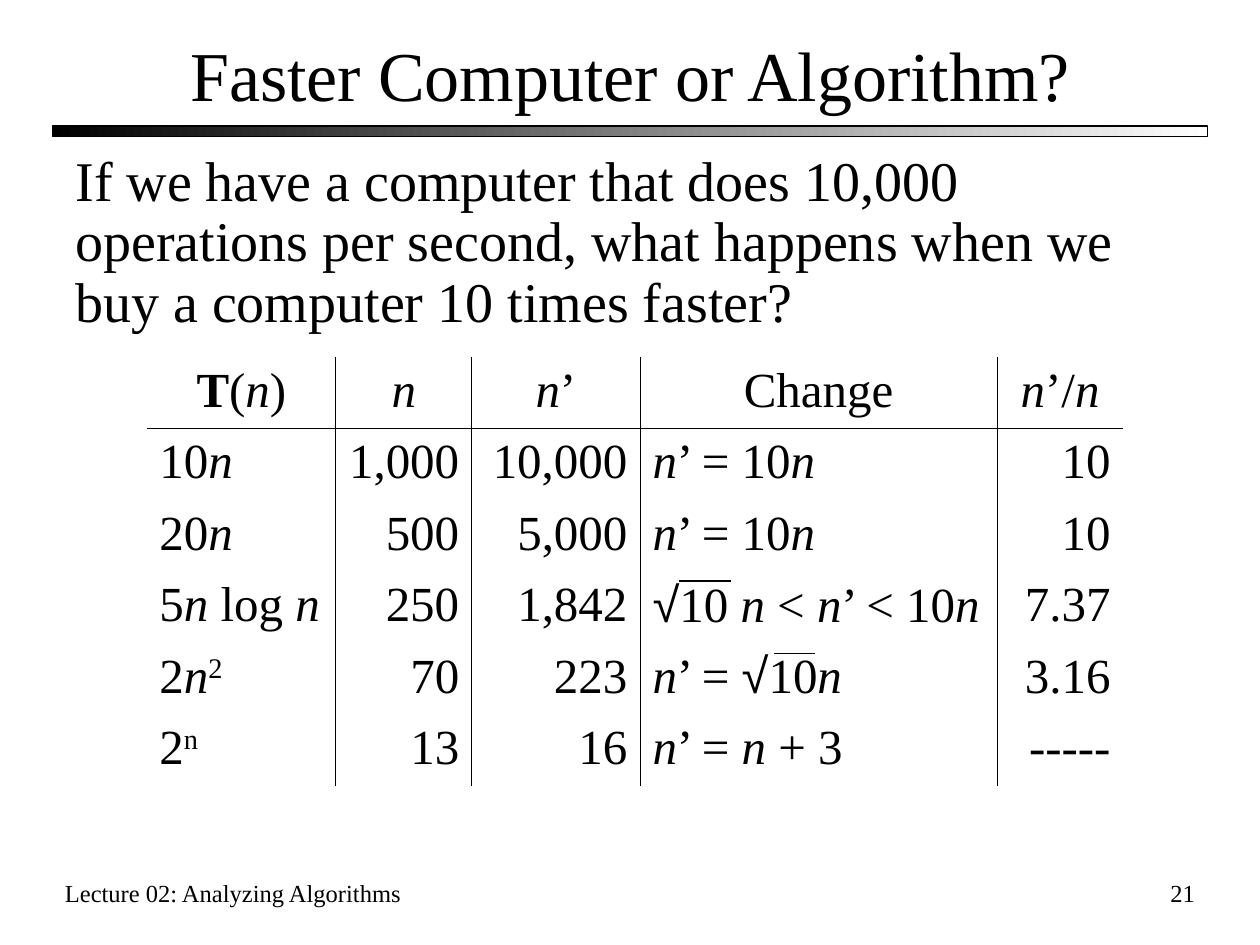
from lxml.etree import SubElement
from pptx import Presentation
from pptx.dml.color import RGBColor
from pptx.enum.shapes import MSO_CONNECTOR, MSO_SHAPE
from pptx.enum.text import MSO_ANCHOR, PP_ALIGN as Align
from pptx.oxml.ns import qn
from pptx.util import Cm, Pt

BLACK = RGBColor(0, 0, 0)
WHITE = RGBColor(255, 255, 255)
SERIF, SANS = "Times New Roman", "Arial"

# Content: a cell is a list of runs, styled runs are (text, style)
TITLE = "Faster Computer or Algorithm?"
QUESTION = ("If we have a computer that does 10,000 operations per second, "
            "what happens when we buy a computer 10 times faster?")
FOOTER, PAGE = "Lecture 02: Analyzing Algorithms", "21"
N = ("n", "italic")
ROOT = ("√", "sans")
HEADER = [[("T", "bold"), "(", N, ")"], [N], [N, "’"], ["Change"], [N, "’/", N]]
ROWS = [
    [["10", N], ["1,000"], ["10,000"], [N, "’ = 10", N], ["10"]],
    [["20", N], ["500"], ["5,000"], [N, "’ = 10", N], ["10"]],
    [["5", N, " log ", N], ["250"], ["1,842"],
     [ROOT, "10 ", N, " < ", N, "’ < 10", N], ["7.37"]],
    [["2", N, ("2", "super")], ["70"], ["223"], [N, "’ = ", ROOT, "10", N], ["3.16"]],
    [["2", ("n", "super")], ["13"], ["16"], [N, "’ = ", N, " + 3"], ["-----"]],
]
COLUMN_WIDTHS = [3.81, 2.74, 3.39, 7.2, 2.54]
COLUMN_ALIGNS = [Align.LEFT, Align.RIGHT, Align.RIGHT, Align.LEFT, Align.RIGHT]
TABLE_LEFT, TABLE_TOP, ROW_HEIGHT = 2.96, 7.2, 1.44
ROOT_BARS = [(13.69, 14.73, 11.71), (15.6, 16.43, 13.18)]  # left, right, y


def format_paragraph(paragraph, size, align):
    paragraph.alignment = align
    font = paragraph.font
    font.name, font.size, font.color.rgb = SERIF, Pt(size), BLACK


def add_text(slide, text, box, size, align=Align.LEFT):
    frame = slide.shapes.add_textbox(*map(Cm, box)).text_frame
    frame.word_wrap = True
    paragraph = frame.paragraphs[0]
    paragraph.text = text
    format_paragraph(paragraph, size, align)
    return paragraph


def add_runs(paragraph, runs):
    for item in runs:
        text, style = (item, None) if isinstance(item, str) else item
        run = paragraph.add_run()
        run.text = text
        if style == "italic":
            run.font.italic = True
        elif style == "bold":
            run.font.bold = True
        elif style == "sans":
            run.font.name = SANS
        elif style == "super":
            run.font._element.set("baseline", "30000")


def set_borders(cell, visible):
    properties = cell._tc.get_or_add_tcPr()
    for side in "LRTB":
        line = SubElement(properties, qn("a:ln" + side), w=str(Pt(0.45)))
        if side in visible:
            fill = SubElement(line, qn("a:solidFill"))
            SubElement(fill, qn("a:srgbClr"), val=str(BLACK))
        else:
            SubElement(line, qn("a:noFill"))


def add_growth_table(slide):
    rows = [HEADER] + ROWS
    last = len(COLUMN_WIDTHS) - 1
    table = slide.shapes.add_table(
        len(rows), len(COLUMN_WIDTHS), Cm(TABLE_LEFT), Cm(TABLE_TOP),
        Cm(sum(COLUMN_WIDTHS)), Cm(ROW_HEIGHT * len(rows))).table
    table.first_row = table.horz_banding = False
    for column, width in zip(table.columns, COLUMN_WIDTHS):
        column.width = Cm(width)
    for r, row in enumerate(rows):
        table.rows[r].height = Cm(ROW_HEIGHT)
        for c, runs in enumerate(row):
            cell = table.cell(r, c)
            paragraph = cell.text_frame.paragraphs[0]
            format_paragraph(paragraph, 28, COLUMN_ALIGNS[c] if r else Align.CENTER)
            add_runs(paragraph, runs)
            # Rules between columns and under the header only
            visible = ("L" if c else "") + ("R" if c < last else "")
            visible += {0: "B", 1: "T"}.get(r, "")
            set_borders(cell, visible)
            cell.fill.background()


def main():
    presentation = Presentation()
    presentation.slide_width, presentation.slide_height = Cm(25.4), Cm(19.05)
    slide = presentation.slides.add_slide(presentation.slide_layouts[5])

    # Title and gradient bar
    title = slide.shapes.title
    title.left, title.top, title.width, title.height = map(Cm, (1.27, 0.43, 22.86, 2.11))
    title.text_frame.text = TITLE
    title.text_frame.vertical_anchor = MSO_ANCHOR.MIDDLE
    format_paragraph(title.text_frame.paragraphs[0], 40, Align.CENTER)

    bar = slide.shapes.add_shape(MSO_SHAPE.RECTANGLE, Cm(1.06), Cm(2.54), Cm(23.28), Cm(0.21))
    bar.shadow.inherit = False
    bar.fill.gradient()
    bar.fill.gradient_angle = 0
    for stop, color, position in zip(bar.fill.gradient_stops, (BLACK, WHITE), (0, 1)):
        stop.color.rgb, stop.position = color, position
    bar.line.color.rgb, bar.line.width = BLACK, Pt(0.75)

    # Question
    add_text(slide, QUESTION, (1.27, 2.96, 22.86, 4.23), 32).line_spacing = 0.9

    # Table, with the bars of the square roots over it
    add_growth_table(slide)
    for left, right, y in ROOT_BARS:
        line = slide.shapes.add_connector(
            MSO_CONNECTOR.STRAIGHT, Cm(left), Cm(y), Cm(right), Cm(y))
        line.line.color.rgb, line.line.width = BLACK, Pt(0.75)
        SubElement(line._element.spPr, qn("a:effectLst"))

    # Footer
    add_text(slide, FOOTER, (1.06, 17.57, 8.89, 1.27), 14)
    add_text(slide, PAGE, (19.05, 17.57, 5.29, 1.27), 14, Align.RIGHT)

    presentation.save("out.pptx")


if __name__ == "__main__":
    main()
